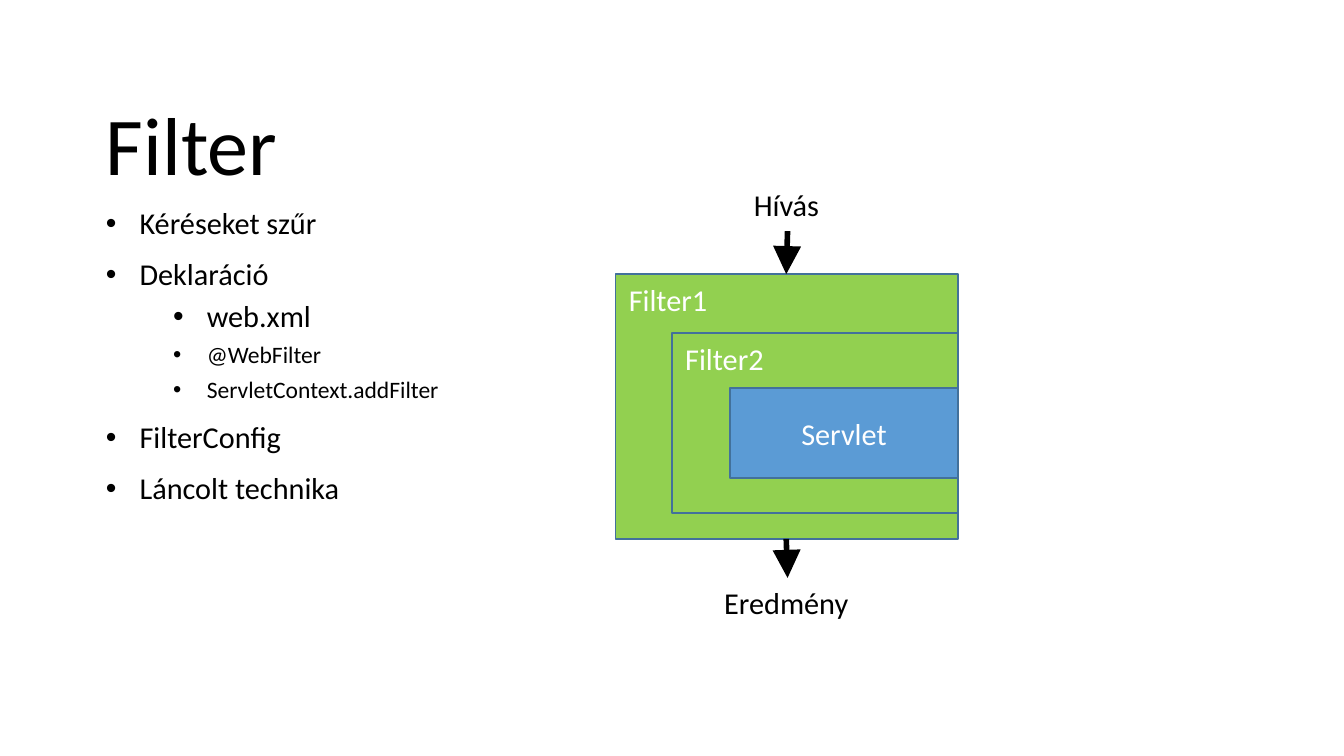
from dataclasses import dataclass

from lxml import etree
from pptx import Presentation
from pptx import util as u
from pptx.dml.color import RGBColor
from pptx.enum import shapes, text
from pptx.oxml import ns

BLACK = RGBColor(0x00, 0x00, 0x00)
WHITE = RGBColor(0xFF, 0xFF, 0xFF)
GREEN = RGBColor(0x92, 0xD0, 0x50)
BLUE = RGBColor(0x5B, 0x9B, 0xD5)
OUTLINE = RGBColor(0x42, 0x71, 0x9B)
FONT = "Calibri"
BODY_SIZE = 16.2
SMALL_SIZE = 12.6
SLIDE_WIDTH = u.Inches(10)
SLIDE_HEIGHT = SLIDE_WIDTH * 9 // 16
LAYERS_RIGHT = 7.13
TOP = text.MSO_ANCHOR.TOP
MIDDLE = text.MSO_ANCHOR.MIDDLE
LEFT = text.PP_ALIGN.LEFT
CENTER = text.PP_ALIGN.CENTER


@dataclass(frozen=True)
class Box:
    left: float
    top: float
    width: float
    height: float

    def lengths(self) -> list[u.Length]:
        return [u.Inches(n) for n in (self.left, self.top, self.width, self.height)]


@dataclass(frozen=True)
class Bullet:
    wording: str
    level: int = 0
    size: float = BODY_SIZE


@dataclass(frozen=True)
class Layer:
    name: str
    left: float
    top: float
    height: float
    fill: RGBColor
    anchor: text.MSO_ANCHOR = TOP
    align: text.PP_ALIGN = LEFT


@dataclass(frozen=True)
class Arrow:
    start: tuple[float, float]
    end: tuple[float, float]


BULLETS = [
    Bullet("Kéréseket szűr"),
    Bullet("Deklaráció"),
    Bullet("web.xml", 1),
    Bullet("@WebFilter", 1, SMALL_SIZE),
    Bullet("ServletContext.addFilter", 1, SMALL_SIZE),
    Bullet("FilterConfig"),
    Bullet("Láncolt technika"),
]
LAYERS = [
    Layer("Filter1", 4.58, 2.04, 1.97, GREEN),
    Layer("Filter2", 5, 2.48, 1.34, GREEN),
    Layer("Servlet", 5.43, 2.89, 0.67, BLUE, MIDDLE, CENTER),
]
ARROWS = [
    Arrow((5.86, 1.72), (5.85, 2.04)),
    Arrow((5.85, 4.01), (5.86, 4.3)),
]
LABELS = {
    "Hívás": Box(5.51, 1.34, 0.69, 0.37),
    "Eredmény": Box(5.29, 4.3, 1.13, 0.37),
}


def write(paragraph, wording: str, *, size: float = BODY_SIZE,
          color: RGBColor = BLACK, align: text.PP_ALIGN = LEFT,
          line_spacing: float = 1.0) -> None:
    run = paragraph.add_run()
    run.text = wording
    run.font.name = FONT
    run.font.size = u.Pt(size)
    run.font.color.rgb = color
    paragraph.alignment = align
    paragraph.line_spacing = line_spacing


def add_text_frame(slide, box: Box, *, wrap: bool = True,
                   anchor: text.MSO_ANCHOR = TOP):
    frame = slide.shapes.add_textbox(*box.lengths()).text_frame
    frame.word_wrap = wrap
    frame.vertical_anchor = anchor
    return frame


def add_bullets(slide, box: Box, bullets: list[Bullet]) -> None:
    frame = add_text_frame(slide, box)
    for index, bullet in enumerate(bullets):
        paragraph = frame.add_paragraph() if index else frame.paragraphs[0]
        write(paragraph, bullet.wording, size=bullet.size, line_spacing=0.9)
        paragraph.level = bullet.level
        if index:
            paragraph.space_before = u.Pt(5 if bullet.level else 10)
        properties = paragraph._p.get_or_add_pPr()
        properties.set("marL", str(u.Inches(0.25 + 0.5 * bullet.level)))
        properties.set("indent", str(u.Inches(-0.25)))
        etree.SubElement(properties, ns.qn("a:buFont"), typeface="Arial")
        etree.SubElement(properties, ns.qn("a:buChar"), char="•")


def add_layer(slide, layer: Layer) -> None:
    box = Box(layer.left, layer.top, LAYERS_RIGHT - layer.left, layer.height)
    shape = slide.shapes.add_shape(shapes.MSO_SHAPE.RECTANGLE, *box.lengths())
    shape.shadow.inherit = False
    shape.fill.solid()
    shape.fill.fore_color.rgb = layer.fill
    shape.line.color.rgb = OUTLINE
    shape.line.width = u.Pt(1)
    shape.text_frame.word_wrap = True
    shape.text_frame.vertical_anchor = layer.anchor
    write(shape.text_frame.paragraphs[0], layer.name, color=WHITE, align=layer.align)


def add_arrow(slide, arrow: Arrow) -> None:
    ends = [u.Inches(n) for n in arrow.start + arrow.end]
    connector = slide.shapes.add_connector(shapes.MSO_CONNECTOR.STRAIGHT, *ends)
    connector.line.color.rgb = BLACK
    connector.line.width = u.Pt(3)
    properties = connector._element.spPr
    etree.SubElement(properties.find(ns.qn("a:ln")), ns.qn("a:tailEnd"),
                     type="triangle", w="lg", len="lg")
    etree.SubElement(properties, ns.qn("a:effectLst"))


def main() -> None:
    presentation = Presentation()
    presentation.slide_width = SLIDE_WIDTH
    presentation.slide_height = SLIDE_HEIGHT
    slide = presentation.slides.add_slide(presentation.slide_layouts[6])

    title = add_text_frame(slide, Box(0.69, 0.56, 8.62, 1.09), anchor=MIDDLE)
    write(title.paragraphs[0], "Filter", size=44, line_spacing=0.9)
    add_bullets(slide, Box(0.69, 1.5, 8.62, 3.57), BULLETS)
    for layer in LAYERS:
        add_layer(slide, layer)
    for arrow in ARROWS:
        add_arrow(slide, arrow)
    for wording, box in LABELS.items():
        write(add_text_frame(slide, box, wrap=False).paragraphs[0], wording)

    presentation.save("out.pptx")


if __name__ == "__main__":
    main()
